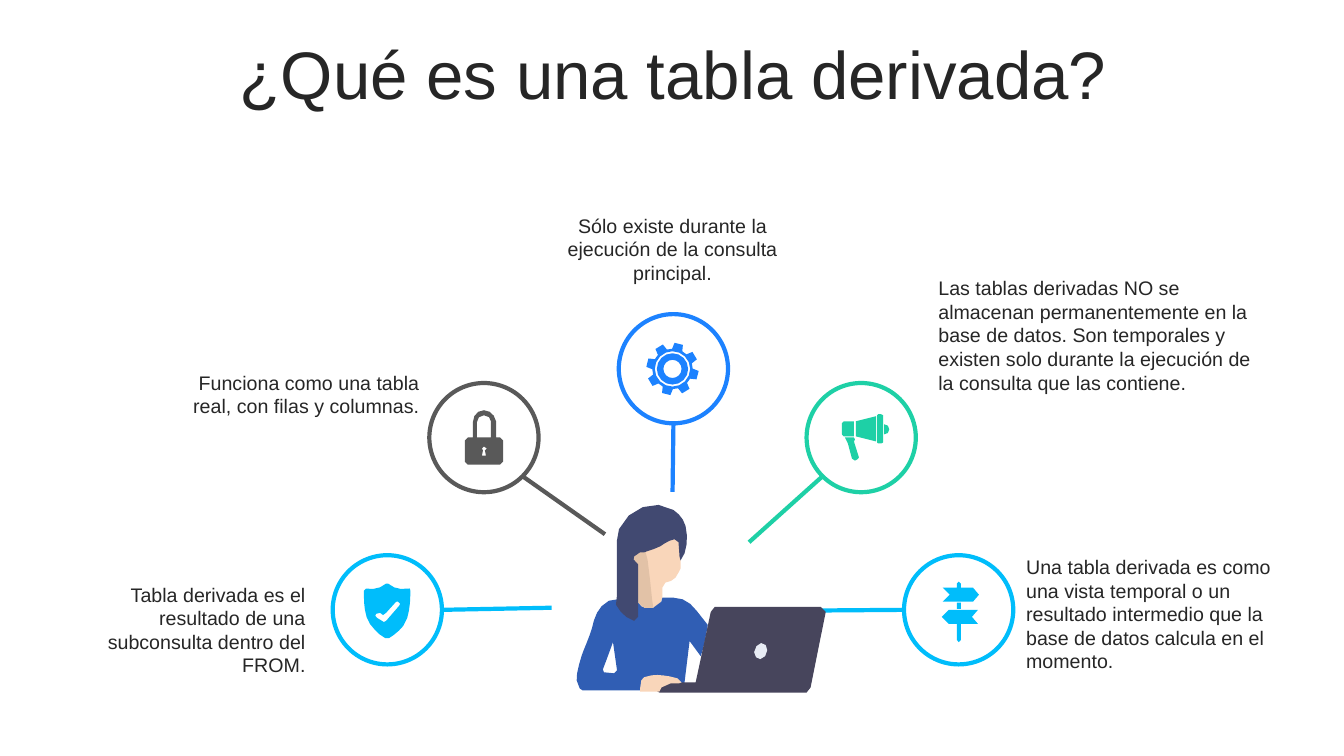
import math
from dataclasses import dataclass

from pptx import Presentation
from pptx import util as u
from pptx.dml.color import RGBColor
from pptx.enum import shapes, text
from pptx.oxml.ns import qn
from lxml import etree


@dataclass(frozen=True)
class Theme:
    font: str = "Arial"
    title_size: int = 48
    body_size: int = 14
    stroke: int = 3
    ink: str = "262626"
    paper: str = "FFFFFF"
    blue: str = "1C82FF"
    grey: str = "595959"
    cyan: str = "00BDFB"
    green: str = "1ED0A6"
    skin: str = "F9D6BA"
    shade: str = "E2C2A7"
    jumper: str = "305EB4"
    laptop: str = "47455C"
    badge: str = "E8ECF4"
    hair: str = "414971"


THEME = Theme()
WIDTH, HEIGHT = u.Inches(13.33), u.Inches(7.5)
CELL = HEIGHT / 18     # square grid cell: 18 rows, 32 columns
UNIT = HEIGHT / 750    # drawing unit for outlines
RADIUS = 1.3           # topic circle, in cells
ALIGN = text.PP_ALIGN

# Outlines: one contour per line; x,y is a corner, a/b/c a Bezier curve to c.
SHIELD = """407,586 407,584/407,583/404,584 397,585/391,584/385,579 383,579 377,584/371,585/363,584 361,586 361,592/361,599/362,605 363,610/364,615/367,619 371,624/376,630/382,633 386,633 391,630/396,626/400,621 404,613 406,606/407,598/407,591
396,601 383,616 381,617/380,618/379,616 374,613 372,612/372,610/373,609 377,608 380,611/380,611/383,608 392,598 393,597/394,596/395,597 397,599"""
PADLOCK = """480,443 478,445 479,447 478,452 482,452 481,447 483,445
480,412 476,412/473,415/473,419 473,434 487,434 487,418 487,415/484,412/480,412
480,407 486,407/491,412/492,418 492,434 496,434 499,437 499,458 496,461 464,461 461,458 461,437 464,434 469,434 469,419 469,412/474,407/480,407"""
SIGNPOST = """949,619 953,619 953,635 951,637 949,635
941,605 970,605 964,612 970,619 941,619 934,612
949,598 953,598 953,604 949,604
935,583 965,583 971,590 965,597 935,597 942,590
951,577 953,579 953,583 949,583 949,579"""
MEGAPHONE = """847,434 848,436 847,438 852,454 850,456 848,457 845,455 841,440 838,434
877,421 880,421/882,423/882,426 882,429/880,431/877,431
837,418 847,418 847,433 837,433 835,431 835,420
869,413 869,438 849,433 849,418
871,411 874,411 876,412 876,439 874,440 871,440 870,439 870,412"""
FACE = """675,556 674,536 670,533 664,534/635,547/632,547 628,551 626,555/627,558/632,559 632,594 633,598 639,604 648,603 654,602/656,599/657,593 657,583 660,578 666,577/671,574/673,568 675,564"""
JUMPER = """608,637 607,640/600,659/598,664 599,667 609,668 612,665
629,592 632,597 636,604/642,604/648,603 656,597 657,593 668,593 678,593/685,598/691,606 702,620 702,621/698,645/695,651 684,636 678,685 578,685 575,683 572,675 571,669/577,649/579,645 583,635/587,626/589,616 592,607/595,601/604,596"""
LAPTOP = """814,602 709,602 705,607 690,677 667,677 661,677/657,679/654,683 652,686 654,687 800,687 804,682 819,607"""
HAND = """635,686 635,682 636,672/636,672/646,670 652,669/658,670/664,671 672,673 676,677 673,678 665,678 656,682 654,686"""
BADGE = "761,645 761,649/758,654/754,654 751,654/748,651/748,647 748,643/752,638/755,638 759,638/761,641/761,645"
FACE_SHADE = "632,559 627,557/626,555/628,550 632,546 640,546 643,548/647,603/648,603 639,603 633,598 632,593"
HAIR = """680,522 678,515/674,510/668,506 650,494/623,504/614,525 612,536 612,590 611,600 615,607/620,613/629,616 633,612 633,560 631,558 628,556/628,554/629,552 635,548 639,548 641,547/649,545/655,542 659,539/664,536/669,535 673,538 674,552 675,556 679,549 682,540/682,531/680,522"""

PERSON = [(FACE, THEME.skin), (JUMPER, THEME.jumper), (LAPTOP, THEME.laptop),
          (HAND, THEME.skin), (BADGE, THEME.badge),
          (FACE_SHADE, THEME.shade), (HAIR, THEME.hair)]


def trace(outline):
    """Turn outline notation into contours of points; longer curves get more points."""
    contours = []
    for line in outline.splitlines():
        points = []
        for step in line.split():
            knots = [tuple(map(int, knot.split(","))) for knot in step.split("/")]
            if len(knots) == 1:
                points += knots
                continue
            curve = [points[-1], *knots]
            count = min(4, 2 + int(math.dist(curve[0], curve[-1]) / 15))
            for t in (i / count for i in range(1, count + 1)):
                weights = [math.comb(3, k) * t**k * (1 - t)**(3 - k) for k in range(4)]
                points.append(tuple(sum(w * knot[axis] for w, knot in zip(weights, curve))
                                    for axis in (0, 1)))
        contours.append(points)
    return contours


def gear(x, y):
    """Eight teeth around two rings."""
    def polar(radius, degrees):
        angle = math.radians(degrees)
        return x + radius * math.cos(angle), y + radius * math.sin(angle)

    tooth = [(20, -15), (26, -9.5), (26, 9.5), (20, 15)]
    teeth = [polar(radius, 14 + 45 * i + turn) for i in range(8) for radius, turn in tooth]
    return [teeth] + [[polar(radius, 22.5 * i) for i in range(16)] for radius in (17.5, 15.5, 9)]


def color(fill_or_font, value):
    fill_or_font.rgb = RGBColor.from_string(value)


def add_drawing(page, contours, fill):
    scaled = [[(x * UNIT, y * UNIT) for x, y in contour] for contour in contours]
    builder = page.shapes.build_freeform(*scaled[0][0])
    builder.add_line_segments(scaled[0][1:], close=True)
    for contour in scaled[1:]:
        builder.move_to(*contour[0])
        builder.add_line_segments(contour[1:], close=True)
    drawing = builder.convert_to_shape()
    drawing.shadow.inherit = False
    drawing.fill.solid()
    color(drawing.fill.fore_color, fill)
    drawing.line.fill.background()


def add_circle(page, column, row, stroke):
    box = [round(n * CELL) for n in (column - RADIUS, row - RADIUS, 2 * RADIUS, 2 * RADIUS)]
    circle = page.shapes.add_shape(shapes.MSO_SHAPE.OVAL, *box)
    circle.shadow.inherit = False
    circle.fill.solid()
    color(circle.fill.fore_color, THEME.paper)
    color(circle.line.color, stroke)
    circle.line.width = u.Pt(THEME.stroke)


def add_spoke(page, column, row, degrees, end, stroke):
    """Line from the circle's edge, at the given angle, to the end cell."""
    angle = math.radians(degrees)
    start = column + RADIUS * math.cos(angle), row + RADIUS * math.sin(angle)
    ends = [round(n * CELL) for n in (*start, *end)]
    spoke = page.shapes.add_connector(shapes.MSO_CONNECTOR.STRAIGHT, *ends)
    color(spoke.line.color, stroke)
    spoke.line.width = u.Pt(THEME.stroke)
    etree.SubElement(spoke._element.spPr, qn("a:effectLst"))


def write(box, wording, size, align):
    box.text_frame.word_wrap = True
    para = box.text_frame.paragraphs[0]
    para.text, para.alignment = wording, align
    para.font.name, para.font.size = THEME.font, u.Pt(size)
    color(para.font.color, THEME.ink)
    return para


def add_title(page, wording):
    title = page.shapes.title
    title.left, title.top, title.width, title.height = (
        round(n * CELL) for n in (0.84, 0.89, 30.38, 1.9))
    title.text_frame.vertical_anchor = text.MSO_ANCHOR.MIDDLE
    title.text_frame.auto_size = text.MSO_AUTO_SIZE.NONE
    write(title, wording, THEME.title_size, ALIGN.CENTER).line_spacing = 0.9


def add_caption(page, wording, cells, align):
    box = page.shapes.add_textbox(*(round(n * CELL) for n in cells))
    write(box, wording, THEME.body_size, align)
    box.text_frame.auto_size = text.MSO_AUTO_SIZE.SHAPE_TO_FIT_TEXT


def main():
    deck = Presentation()
    deck.slide_width, deck.slide_height = WIDTH, HEIGHT
    page = deck.slides.add_slide(deck.slide_layouts[5])
    add_title(page, "¿Qué es una tabla derivada?")

    # circle centre, spoke angle, spoke end, colour, icon, caption, caption cells, alignment
    topics = [
        ((9.22, 14.52), 0, (13.13, 14.47), THEME.cyan, trace(SHIELD),
         "Tabla derivada es el resultado de una subconsulta dentro del FROM.",
         (1.51, 13.75, 6, 3.07), ALIGN.RIGHT),
        ((11.52, 10.42), 45, (14.4, 12.72), THEME.grey, trace(PADLOCK),
         "Funciona como una tabla real, con filas y columnas.",
         (4.22, 8.71, 6, 1.94), ALIGN.RIGHT),
        ((16.03, 8.78), 90, (16.01, 11.71), THEME.blue, gear(667, 366),
         "Sólo existe durante la ejecución de la consulta principal.",
         (13.01, 4.97, 6, 2.5), ALIGN.CENTER),
        ((20.5, 10.42), 135, (17.83, 12.91), THEME.green, trace(MEGAPHONE),
         "Las tablas derivadas NO se almacenan permanentemente en la base de datos. Son "
         "temporales y existen solo durante la ejecución de la consulta que las contiene.",
         (22.1, 6.46, 8.38, 3.62), ALIGN.LEFT),
        ((22.82, 14.52), 180, (18.94, 14.54), THEME.cyan, trace(SIGNPOST),
         "Una tabla derivada es como una vista temporal o un resultado intermedio que la "
         "base de datos calcula en el momento.",
         (24.19, 13.1, 6.79, 4.75), ALIGN.LEFT),
    ]
    for centre, degrees, end, stroke, icon, wording, cells, align in topics:
        add_circle(page, *centre, stroke)
        add_drawing(page, icon, stroke)
        add_caption(page, wording, cells, align)
        add_spoke(page, *centre, degrees, end, stroke)
    for outline, fill in PERSON:
        add_drawing(page, trace(outline), fill)
    deck.save("out.pptx")


if __name__ == "__main__":
    main()
